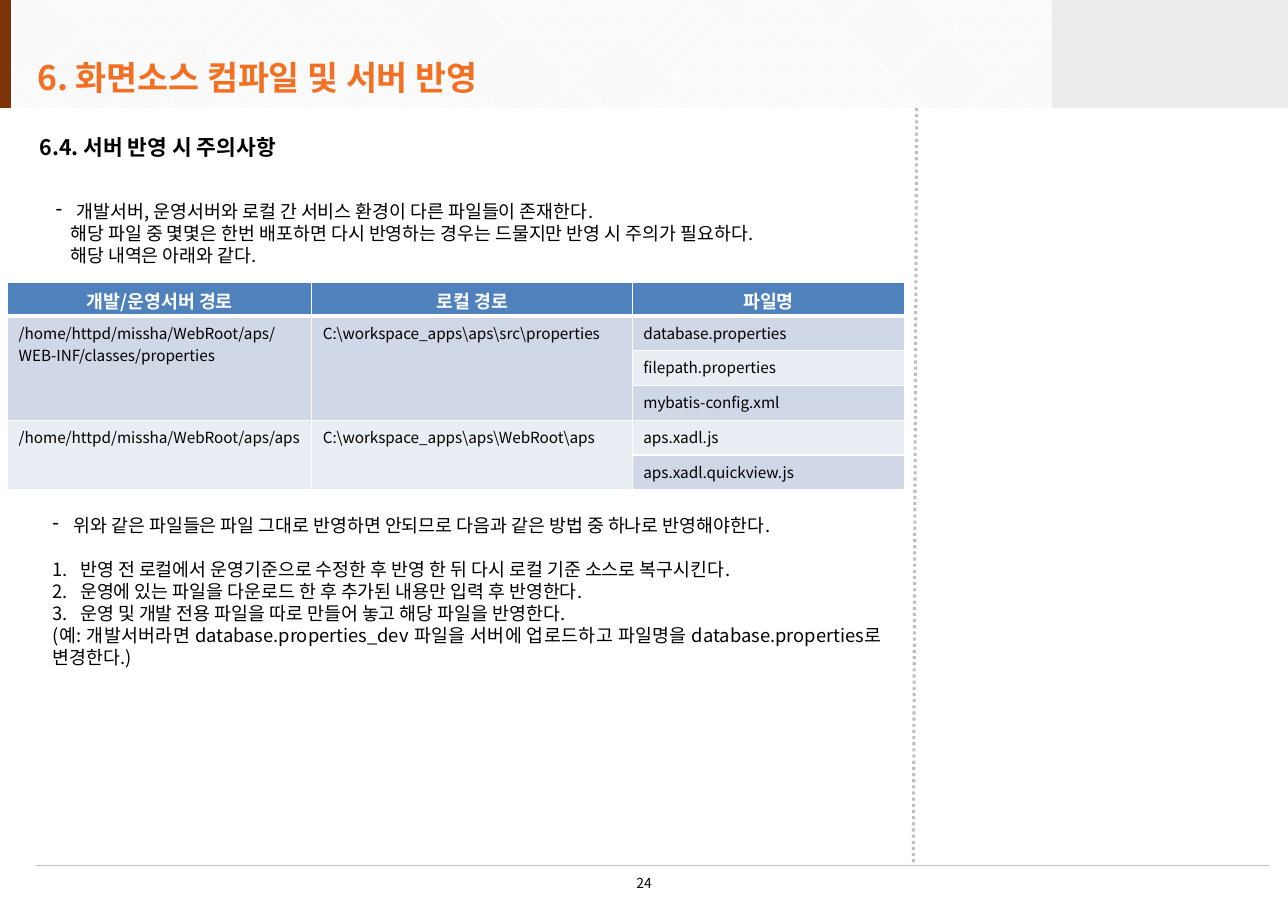
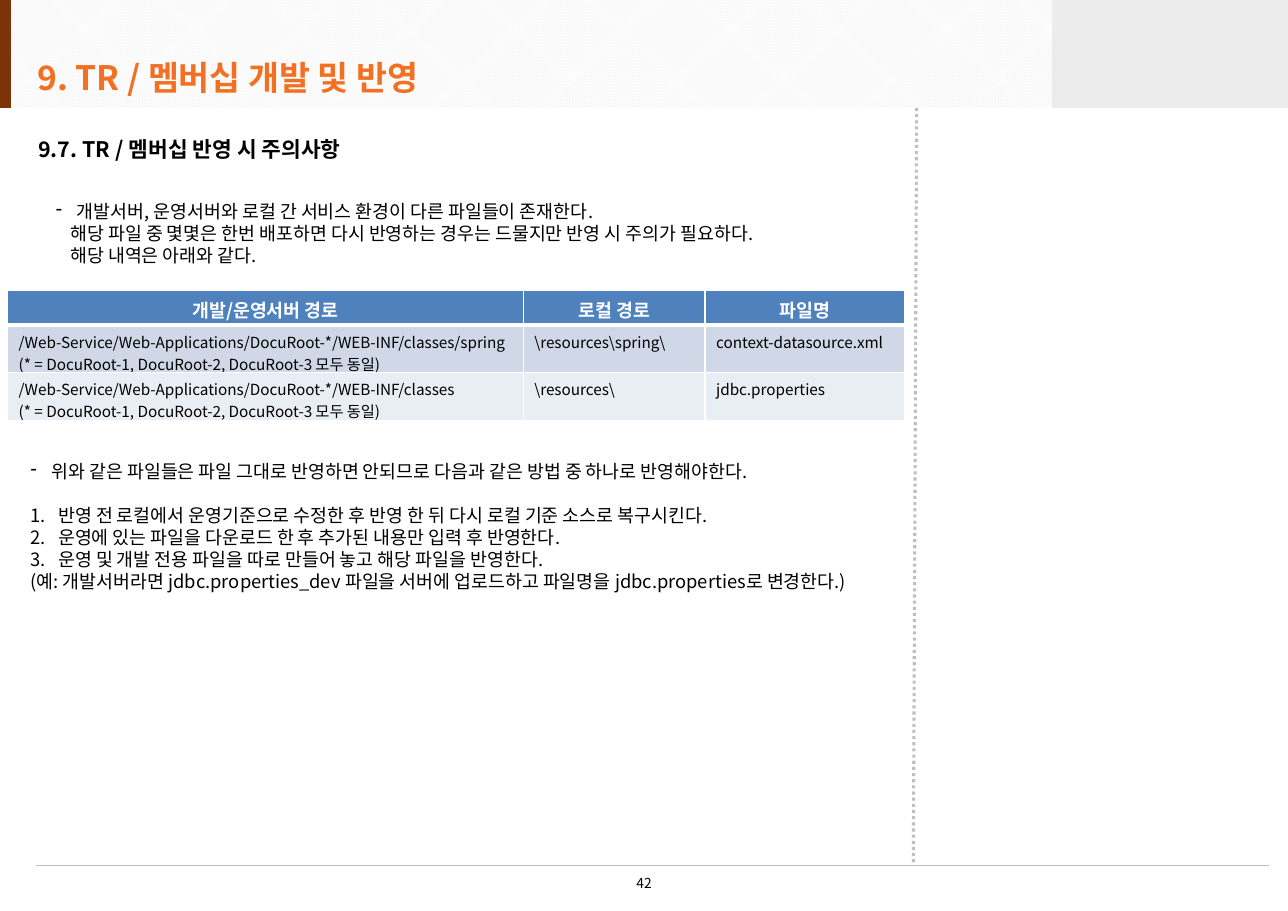
import pptx
import pptx.util
import pptx.dml.color
import pptx.enum.dml
import pptx.enum.shapes
import pptx.enum.text
import pptx.oxml
import pptx.oxml.ns
from lxml import etree

Inches = pptx.util.Inches
Pt = pptx.util.Pt
ALIGN = pptx.enum.text.PP_ALIGN
ANCHOR = pptx.enum.text.MSO_ANCHOR
qn = pptx.oxml.ns.qn


def rgb(value):
    return pptx.dml.color.RGBColor.from_string(value)


class Manual:
    FONT = "Noto Sans CJK KR"
    WIDTH, HEIGHT, BAND = 11.69, 8.27, 0.98
    BLACK, WHITE, ORANGE, BROWN = "000000", "FFFFFF", "F36F21", "7B3307"
    PALE, GRAY, RULE = "F2F2F2", "ECECEC", "BFBFBF"
    HEADER, STRIPES = "4F81BD", ("E9EDF4", "D0D8E8")
    BULLETS = {
        "dash": (0.19, -0.19, "buChar", {"char": "-"}),
        "number": (0.25, -0.25, "buAutoNum", {"type": "arabicPeriod"}),
        "continued": (0.13, 0, "buNone", {}),
        "plain": (0, 0, "buNone", {}),
    }

    def __init__(self):
        self.deck = pptx.Presentation()
        self.deck.slide_width = Inches(self.WIDTH)
        self.deck.slide_height = Inches(self.HEIGHT)
        self.slide = None

    def style(self, paragraph, size, color, bold=False, align=ALIGN.LEFT):
        paragraph.alignment = align
        font = paragraph.font
        font.size, font.bold = Pt(size), bold
        font.color.rgb = rgb(color)
        font.name = self.FONT
        latin = paragraph._p.find(".//" + qn("a:latin"))
        east_asian = etree.Element(qn("a:ea"), typeface=self.FONT)
        latin.addnext(east_asian)

    def indent(self, paragraph, kind):
        margin, first, tag, attributes = self.BULLETS[kind]
        properties = paragraph._p.get_or_add_pPr()
        properties.set("marL", str(Inches(margin)))
        properties.set("indent", str(Inches(first)))
        etree.SubElement(properties, qn("a:" + tag), attributes)

    def new_slide(self, title, number):
        self.slide = self.deck.slides.add_slide(self.deck.slide_layouts[5])
        pattern = self.block(0, self.WIDTH, self.PALE).fill
        pattern.patterned()
        pattern.pattern = pptx.enum.dml.MSO_PATTERN.SMALL_CHECKER_BOARD
        pattern.fore_color.rgb = rgb(self.PALE)
        pattern.back_color.rgb = rgb(self.WHITE)
        self.block(9.55, self.WIDTH - 9.55, self.GRAY)
        self.block(0, 0.1, self.BROWN)
        self.rule((0.33, 7.85), (11.52, 7.85), 0.25)
        divider = self.rule((8.32, self.BAND), (8.29, 7.83), 2)
        divider.line.dash_style = pptx.enum.dml.MSO_LINE.ROUND_DOT
        self.title(title)
        page = self.text_box(5.02, 7.89, 1.65, 0.26)
        page.vertical_anchor = ANCHOR.MIDDLE
        page.text = str(number)
        self.style(page.paragraphs[0], 9, self.BLACK, align=ALIGN.CENTER)

    def title(self, text):
        heading = self.slide.shapes.title
        self.slide.shapes._spTree.append(heading._element)
        heading.left, heading.top = Inches(0.26), Inches(0.4)
        heading.width, heading.height = Inches(9.22), Inches(0.59)
        frame = heading.text_frame
        frame.text = text
        frame.auto_size = pptx.enum.text.MSO_AUTO_SIZE.NONE
        frame.vertical_anchor = ANCHOR.MIDDLE
        frame.margin_left = frame.margin_right = Inches(0.08)
        frame.margin_top = frame.margin_bottom = Inches(0.04)
        self.style(frame.paragraphs[0], 22, self.ORANGE, True)

    def block(self, left, width, color):
        shape = self.slide.shapes.add_shape(
            pptx.enum.shapes.MSO_SHAPE.RECTANGLE,
            Inches(left), 0, Inches(width), Inches(self.BAND))
        shape.shadow.inherit = False
        shape.fill.solid()
        shape.fill.fore_color.rgb = rgb(color)
        shape.line.fill.background()
        return shape

    def rule(self, start, end, weight):
        line = self.slide.shapes.add_connector(
            pptx.enum.shapes.MSO_CONNECTOR.STRAIGHT,
            *(Inches(value) for value in start + end))
        line.line.color.rgb = rgb(self.RULE)
        line.line.width = Pt(weight)
        etree.SubElement(line._element.spPr, qn("a:effectLst"))
        return line

    def text_box(self, left, top, width, height):
        box = self.slide.shapes.add_textbox(
            Inches(left), Inches(top), Inches(width), Inches(height))
        box.text_frame.word_wrap = True
        return box.text_frame

    def subtitle(self, left, top, text):
        frame = self.text_box(left, top, 7.5, 0.38)
        frame.text = text
        frame.paragraphs[0].line_spacing = Pt(21)
        self.style(frame.paragraphs[0], 14, self.BLACK, True)

    def body(self, left, top, width, height, items):
        frame = self.text_box(left, top, width, height)
        frame.text = "\n".join(text for _, text in items)
        previous = None
        for paragraph, (kind, _) in zip(frame.paragraphs, items):
            paragraph.line_spacing = Pt(14.4)
            if kind == "number" and previous == "dash":
                paragraph.space_before = Pt(14.4)
            self.indent(paragraph, kind)
            self.style(paragraph, 12, self.BLACK, align=ALIGN.JUSTIFY)
            previous = kind

    def borders(self, cell, row):
        widths = {"L": 1, "R": 1, "T": 3 if row == 1 else 1, "B": 3 if row == 0 else 1}
        properties = cell._tc.get_or_add_tcPr()
        for side, width in widths.items():
            line = etree.SubElement(properties, qn("a:ln" + side), w=str(Pt(width)))
            fill = etree.SubElement(line, qn("a:solidFill"))
            etree.SubElement(fill, qn("a:srgbClr"), val=self.WHITE)

    def table(self, top, widths, row_height, rows):
        header_height = 0.31
        rows = [("개발/운영서버 경로", "로컬 경로", "파일명")] + rows
        height = header_height + row_height * (len(rows) - 1)
        table = self.slide.shapes.add_table(
            len(rows), len(widths), Inches(0.07), Inches(top),
            Inches(sum(widths)), Inches(height)).table
        for column, width in zip(table.columns, widths):
            column.width = Inches(width)
        for r, row in enumerate(rows):
            table.rows[r].height = Inches(row_height if r else header_height)
            for c, text in enumerate(row):
                self.cell(table.cell(r, c), r, text or "")
        for c in range(len(widths)):
            starts = [r for r, row in enumerate(rows) if row[c] is not None]
            for start, end in zip(starts, starts[1:] + [len(rows)]):
                if end - start > 1:
                    table.cell(start, c).merge(table.cell(end - 1, c))

    def cell(self, cell, row, text):
        cell.text = text
        cell.margin_bottom = 0
        self.borders(cell, row)
        cell.fill.solid()
        cell.fill.fore_color.rgb = rgb(self.STRIPES[row % 2] if row else self.HEADER)
        for paragraph in cell.text_frame.paragraphs:
            if row:
                self.style(paragraph, 10, self.BLACK)
            else:
                self.style(paragraph, 12, self.WHITE, True, ALIGN.CENTER)


INTRO = [
    ("dash", "개발서버, 운영서버와 로컬 간 서비스 환경이 다른 파일들이 존재한다."),
    ("continued", "해당 파일 중 몇몇은 한번 배포하면 다시 반영하는 경우는 드물지만 반영 시 주의가 필요하다."),
    ("continued", "해당 내역은 아래와 같다."),
]


def methods(file_name):
    return [
        ("dash", "위와 같은 파일들은 파일 그대로 반영하면 안되므로 다음과 같은 방법 중 하나로 반영해야한다."),
        ("number", "반영 전 로컬에서 운영기준으로 수정한 후 반영 한 뒤 다시 로컬 기준 소스로 복구시킨다."),
        ("number", "운영에 있는 파일을 다운로드 한 후 추가된 내용만 입력 후 반영한다."),
        ("number", "운영 및 개발 전용 파일을 따로 만들어 놓고 해당 파일을 반영한다."),
        ("plain", f"(예: 개발서버라면 {file_name}_dev 파일을 서버에 업로드하고 파일명을 {file_name}로 변경한다.)"),
    ]


def main():
    manual = Manual()

    manual.new_slide("6. 화면소스 컴파일 및 서버 반영", 24)
    manual.subtitle(0.26, 1.11, "6.4. 서버 반영 시 주의사항")
    manual.body(0.41, 1.77, 7.72, 0.71, INTRO)
    manual.table(2.56, (2.76, 2.91, 2.47), 0.315, [
        ("/home/httpd/missha/WebRoot/aps/WEB-INF/classes/properties",
         r"C:\workspace_apps\aps\src\properties", "database.properties"),
        (None, None, "filepath.properties"),
        (None, None, "mybatis-config.xml"),
        ("/home/httpd/missha/WebRoot/aps/aps",
         r"C:\workspace_apps\aps\WebRoot\aps", "aps.xadl.js"),
        (None, None, "aps.xadl.quickview.js"),
    ])
    manual.body(0.38, 4.62, 7.72, 1.72, methods("database.properties"))

    manual.new_slide("9. TR / 멤버십 개발 및 반영", 42)
    manual.subtitle(0.25, 1.13, "9.7. TR / 멤버십 반영 시 주의사항")
    manual.body(0.41, 1.77, 7.72, 0.71, INTRO)
    web_root = "/Web-Service/Web-Applications/DocuRoot-*/WEB-INF/classes"
    same_roots = "\n(* = DocuRoot-1, DocuRoot-2, DocuRoot-3 모두 동일)"
    manual.table(2.64, (4.68, 1.65, 1.81), 0.435, [
        (web_root + "/spring" + same_roots, "\\resources\\spring\\", "context-datasource.xml"),
        (web_root + same_roots, "\\resources\\", "jdbc.properties"),
    ])
    manual.body(0.18, 4.13, 8.03, 1.51, methods("jdbc.properties"))

    manual.deck.save("out.pptx")


if __name__ == "__main__":
    main()
